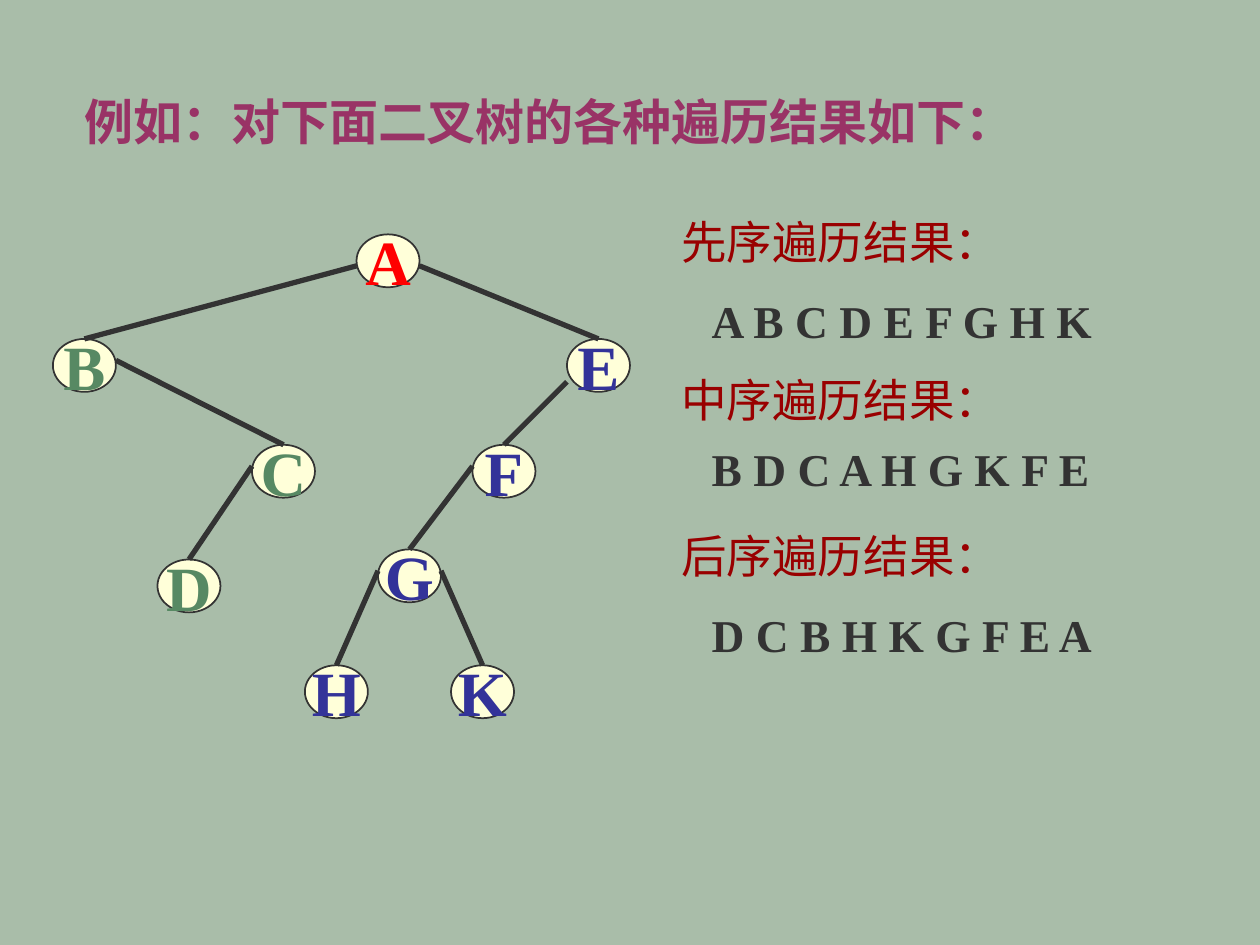
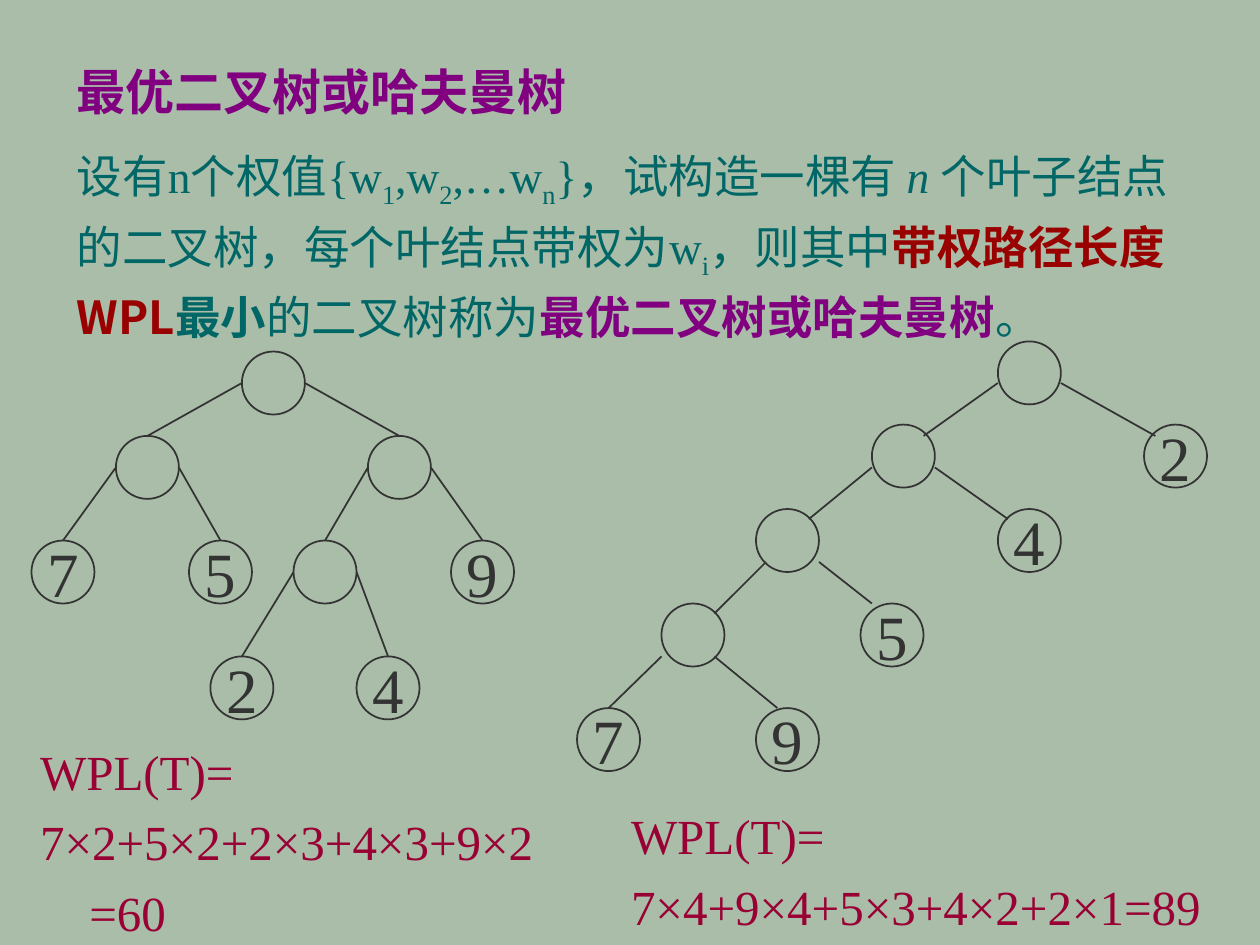
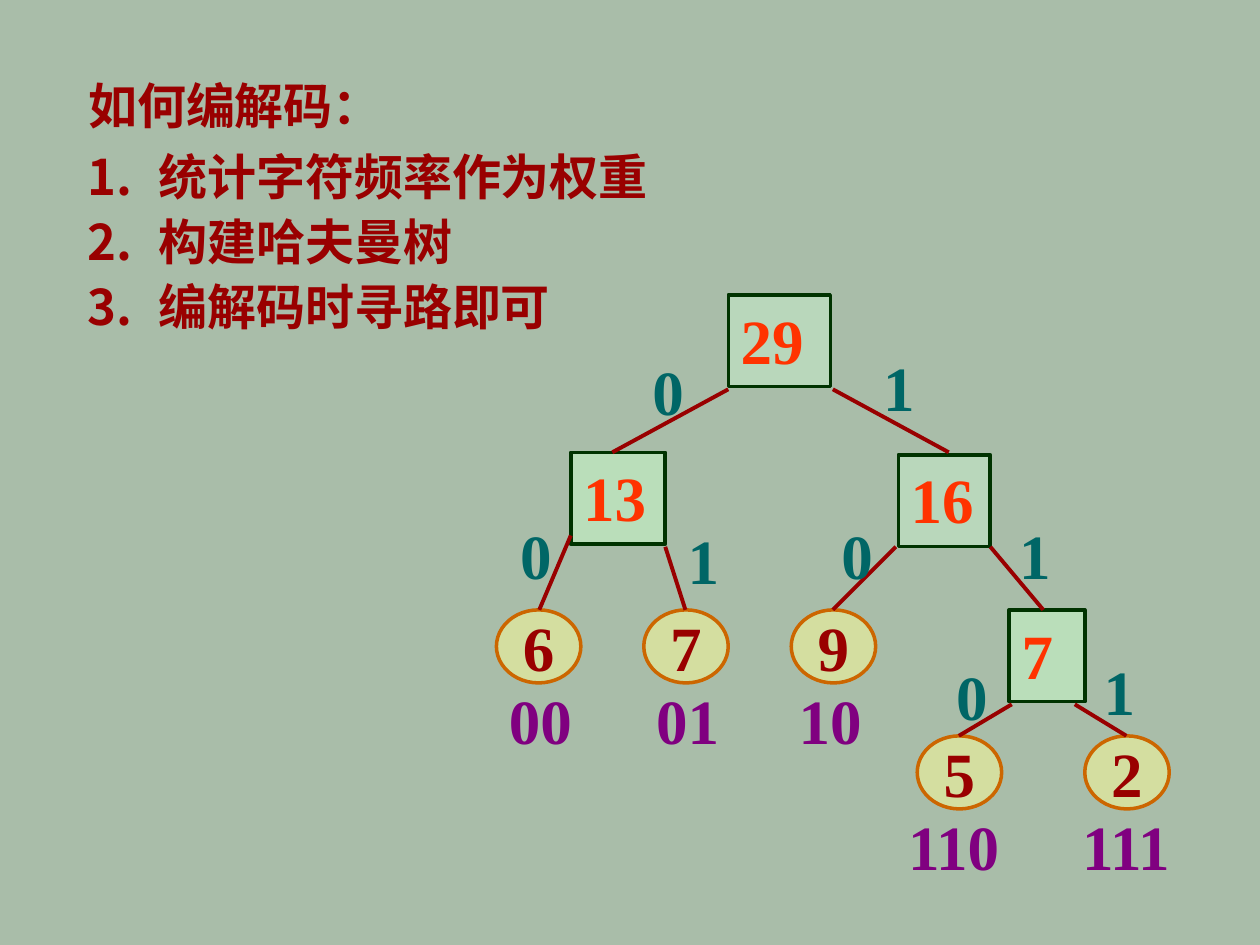
from lxml import etree
from pptx import Presentation, util as u
from pptx.dml.color import RGBColor
from pptx.enum import shapes, text
from pptx.oxml.ns import qn

SAGE = RGBColor(0xA9, 0xBD, 0xA9)
INK = RGBColor(0x33, 0x33, 0x33)
CREAM = RGBColor(0xFF, 0xFF, 0xD9)
YELLOW = RGBColor(0xFF, 0xFF, 0x99)
MINT = RGBColor(0xCC, 0xFF, 0xCC)
PALE_MINT = RGBColor(0xCA, 0xF2, 0xCE)
RED = RGBColor(0xFF, 0x00, 0x00)
SCARLET = RGBColor(0xFF, 0x33, 0x00)
DARK_RED = RGBColor(0x99, 0x00, 0x00)
CRIMSON = RGBColor(0x99, 0x00, 0x33)
PLUM = RGBColor(0x99, 0x33, 0x66)
PURPLE = RGBColor(0x80, 0x00, 0x80)
LEAF = RGBColor(0x57, 0x89, 0x63)
BLUE = RGBColor(0x33, 0x33, 0x99)
TEAL = RGBColor(0x00, 0x66, 0x66)
ORANGE = RGBColor(0xCC, 0x66, 0x00)
DARK_GREEN = RGBColor(0x00, 0x33, 0x00)

SERIF, SANS = "Times New Roman", "Noto Sans CJK SC"
OVAL, RECT = shapes.MSO_SHAPE.OVAL, shapes.MSO_SHAPE.RECTANGLE
CENTER, LEFT = text.PP_ALIGN.CENTER, text.PP_ALIGN.LEFT
MIDDLE, TOP = text.MSO_ANCHOR.MIDDLE, text.MSO_ANCHOR.TOP


def put(s, kind, box, paras=(), size=36, color=INK, bold=False, align=LEFT,
        anchor=TOP, wrap=False, spacing=None, fill=None, alpha=100, line=None):
    """Place a title, text box or preset shape; a paragraph is a list of (text, format)."""
    box = [u.Inches(v) for v in box]
    if kind == "title":
        sp = s.shapes.title
        sp.left, sp.top, sp.width, sp.height = box
    elif kind == "text":
        sp = s.shapes.add_textbox(*box)
    else:
        sp = s.shapes.add_shape(kind, *box)
        sp.shadow.inherit = False
        sp.line.color.rgb, sp.line.width = line[0], u.Pt(line[1])
        if fill is None:
            sp.fill.background()
        else:
            sp.fill.solid()
            sp.fill.fore_color.rgb = fill
            clr = sp.fill._xPr.find(".//" + qn("a:srgbClr"))
            etree.SubElement(clr, qn("a:alpha"), val=str(alpha * 1000))
    tf = sp.text_frame
    frame = dict(word_wrap=wrap, vertical_anchor=anchor, auto_size=text.MSO_AUTO_SIZE.NONE)
    for key, value in frame.items():
        setattr(tf, key, value)
    for i, runs in enumerate([paras] if isinstance(paras, str) else paras):
        p = tf.add_paragraph() if i else tf.paragraphs[0]
        p.alignment, p.line_spacing = align, spacing
        for words, extra in [(runs, {})] if isinstance(runs, str) else runs:
            r = p.add_run()
            r.text = words
            fmt = dict(size=u.Pt(size), bold=bold, name=SERIF, color=color) | extra
            r.font.color.rgb = fmt.pop("color")
            if fmt.pop("sub", False):
                r.font._element.set("baseline", "-25000")
            for key, value in fmt.items():
                setattr(r.font, key, value)
            etree.SubElement(r.font._element, qn("a:ea"), typeface=SANS)
    return sp


def link(s, x1, y1, x2, y2, color, width):
    """Draw one tree edge."""
    ends = [u.Inches(v) for v in (x1, y1, x2, y2)]
    c = s.shapes.add_connector(shapes.MSO_CONNECTOR.STRAIGHT, *ends)
    c.line.color.rgb, c.line.width = color, u.Pt(width)
    etree.SubElement(c._element.spPr, qn("a:effectLst"))


prs = Presentation()
prs.slide_width, prs.slide_height = u.Inches(10), u.Inches(7.5)
background = prs.slide_master.background.fill
background.solid()
background.fore_color.rgb = SAGE
layout = prs.slide_layouts.get_by_name("Title Only")
TITLE = dict(size=28, bold=True, wrap=True)
NODE_TEXT = dict(align=CENTER, anchor=MIDDLE)

# Slide 1: traversals of a binary tree
s = prs.slides.add_slide(layout)
put(s, "title", (0.57, 0.68, 8.52, 0.57),
    [[("例如：对下面二叉树的各种遍历结果如下：", dict(name=SANS))]], color=PLUM, **TITLE)

NODE_W, NODE_H = 0.5, 0.42
nodes = {"A": (2.83, 1.86, RED), "B": (0.42, 2.69, LEAF), "C": (2, 3.53, LEAF),
         "D": (1.25, 4.44, LEAF), "E": (4.5, 2.69, BLUE), "F": (3.75, 3.53, BLUE),
         "G": (3, 4.36, BLUE), "H": (2.42, 5.28, BLUE), "K": (3.58, 5.28, BLUE)}
for name, (x, y, color) in nodes.items():
    put(s, OVAL, (x, y, NODE_W, NODE_H), name, color=color, bold=True,
        fill=CREAM, line=(INK, 1), **NODE_TEXT)

# Each edge leaves the parent's side at a given drop and ends at the child's top
for parent, child, drop in [("A", "B", 0.25), ("B", "C", 0.17), ("C", "D", 0.17),
                            ("A", "E", 0.25), ("E", "F", 0.34), ("F", "G", 0.17),
                            ("G", "H", 0.17), ("G", "K", 0.17)]:
    (px, py, _), (cx, cy, _) = nodes[parent], nodes[child]
    side = NODE_W if cx > px else 0
    link(s, px + side, py + drop, cx + NODE_W / 2, cy, INK, 3)

for heading, heading_top, order, order_top in [
        ("先序遍历结果：", 1.65, "A B C D E F G H K", 2.28),
        ("中序遍历结果：", 2.9, "B D C A H G K F E", 3.45),
        ("后序遍历结果：", 4.14, "D C B H K G F E A", 4.77)]:
    put(s, "text", (5.31, heading_top, 2.75, 0.53), heading, 26, DARK_RED, wrap=True)
    put(s, "text", (5.55, order_top, 3.25, 0.53), order, 26, bold=True)

# Slide 2: Huffman tree definition
s = prs.slides.add_slide(layout)
put(s, "title", (0.51, 0.44, 5, 0.57), "最优二叉树或哈夫曼树", color=PURPLE, **TITLE)
sub, key_term = dict(sub=True), dict(color=DARK_RED, bold=True)
put(s, "text", (0.51, 1.05, 8.98, 1.57), [[
    ("设有n个权值{w", {}), ("1", sub), (",w", {}), ("2", sub), (",…w", {}), ("n", sub),
    ("}，试构造一棵有 ", {}), ("n ", dict(italic=True)),
    ("个叶子结点的二叉树，每个叶结点带权为w", {}), ("i", sub), ("，则其中", {}),
    ("带权路径长度", key_term), ("WPL", key_term | dict(name=SANS)),
    ("最小", dict(bold=True)), ("的二叉树称为", {}),
    ("最优二叉树或哈夫曼树", dict(color=PURPLE, bold=True)), ("。", {})]],
    26, TEAL, wrap=True, spacing=1.15)

# Both trees: inner nodes are empty, leaves carry their weight
D = 0.5
left_tree = [(1.92, 2.79, ""), (0.92, 3.46, ""), (2.92, 3.46, ""), (0.25, 4.29, "7"),
             (1.5, 4.29, "5"), (2.33, 4.29, ""), (3.58, 4.29, "9"),
             (1.67, 5.21, "2"), (2.83, 5.21, "4")]
right_tree = [(7.92, 2.71, ""), (6.92, 3.37, ""), (9.08, 3.37, "2"), (6, 4.04, ""),
              (7.92, 4.04, "4"), (5.25, 4.79, ""), (6.83, 4.79, "5"),
              (4.58, 5.62, "7"), (6, 5.62, "9")]
for x, y, weight in left_tree + right_tree:
    put(s, OVAL, (x, y, D, D), weight, line=(INK, 1), **NODE_TEXT)

for parent, child in [(0, 1), (0, 2), (1, 3), (1, 4), (2, 5), (2, 6), (5, 7), (5, 8)]:
    (px, py, _), (cx, cy, _) = left_tree[parent], left_tree[child]
    link(s, px + (D if cx > px else 0), py + D / 2, cx + D / 2, cy, INK, 1)
for edge in [(7.92, 3.04, 7.33, 3.46), (8.42, 3.04, 9.17, 3.46),
             (6.92, 3.71, 6.42, 4.12), (7.42, 3.71, 8, 4.12),
             (6.08, 4.46, 5.67, 4.87), (6.5, 4.46, 6.92, 4.79),
             (5.25, 5.21, 4.83, 5.62), (5.67, 5.21, 6.17, 5.62)]:
    link(s, *edge, INK, 1)

# Weighted path lengths
WPL = dict(size=28, color=CRIMSON, wrap=True, spacing=1.2)
sp = put(s, "text", (0.22, 5.74, 4.28, 1.78),
         ["WPL(T)=", "7×2+5×2+2×3+4×3+9×2", "=60"], **WPL)
sp.text_frame.paragraphs[-1]._p.get_or_add_pPr().set("marL", str(u.Inches(0.39)))
put(s, "text", (4.91, 6.25, 5.08, 1.18), ["WPL(T)=", "7×4+9×4+5×3+4×2+2×1=89"], **WPL)

# Slide 3: coding with a Huffman tree
s = prs.slides.add_slide(layout)
put(s, "title", (0.6, 0.5, 4.7, 0.57), "如何编解码：", color=DARK_RED, spacing=1.1, **TITLE)
sp = put(s, "text", (0.6, 1.07, 5, 1.8),
         ["统计字符频率作为权重", "构建哈夫曼树", "编解码时寻路即可"],
         color=DARK_RED, spacing=1.1, **TITLE)
for p in sp.text_frame.paragraphs:
    pPr = p._p.get_or_add_pPr()
    pPr.set("marL", str(u.Inches(0.56)))
    pPr.set("indent", str(u.Inches(-0.56)))
    etree.SubElement(pPr, qn("a:buFont"), typeface=SANS)
    etree.SubElement(pPr, qn("a:buAutoNum"), type="arabicPeriod")

# Inner nodes with their sums
for x, y, w, total, fill in [(5.78, 2.34, 0.81, "29", PALE_MINT), (4.53, 3.59, 0.75, "13", MINT),
                             (7.13, 3.61, 0.73, "16", PALE_MINT), (8.01, 4.84, 0.6, "7", MINT)]:
    put(s, RECT, (x, y, w, 0.73), total, color=SCARLET, bold=True, wrap=True,
        fill=fill, alpha=50, line=(DARK_GREEN, 2))

# Leaves with their codes
for x, y, weight, code, code_x, code_w in [
        (3.94, 4.84, "6", "00", 3.94, 0.7), (5.11, 4.84, "7", "01", 5.11, 0.7),
        (6.28, 4.84, "9", "10", 6.24, 0.7), (7.28, 5.84, "5", "110", 7.11, 0.95),
        (8.61, 5.84, "2", "111", 8.49, 0.95)]:
    put(s, OVAL, (x, y, 0.67, 0.58), weight, color=DARK_RED, bold=True,
        fill=YELLOW, alpha=50, line=(ORANGE, 2), **NODE_TEXT)
    put(s, "text", (code_x, y + 0.52, code_w, 0.7), code, color=PURPLE, bold=True)

# Edges, each with its bit and the bit's place
for edge, bit, x, y in [
        ((5.78, 3.09, 4.86, 3.59), "0", 5.08, 2.75), ((6.61, 3.09, 7.53, 3.59), "1", 6.91, 2.72),
        ((4.53, 4.25, 4.28, 4.84), "0", 4.03, 4.05), ((5.28, 4.34, 5.44, 4.84), "1", 5.36, 4.09),
        ((7.11, 4.34, 6.61, 4.84), "0", 6.58, 4.05), ((7.86, 4.34, 8.28, 4.84), "1", 7.99, 4.05),
        ((8.03, 5.59, 7.61, 5.84), "0", 7.49, 5.17), ((8.53, 5.59, 8.94, 5.84), "1", 8.66, 5.13)]:
    link(s, *edge, DARK_RED, 2.25)
    put(s, "text", (x, y, 0.45, 0.7), bit, color=TEAL, bold=True)

prs.save("out.pptx")
